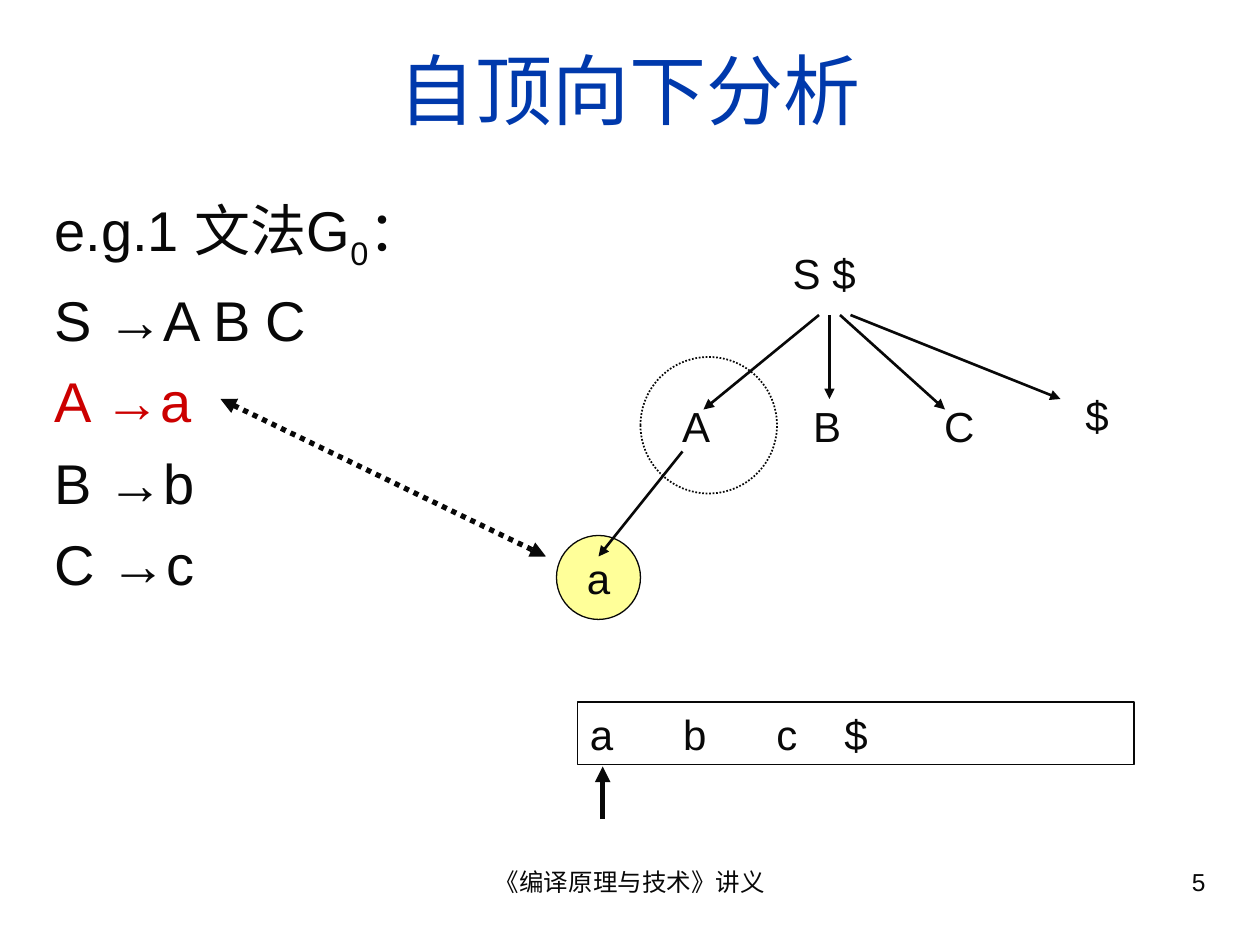
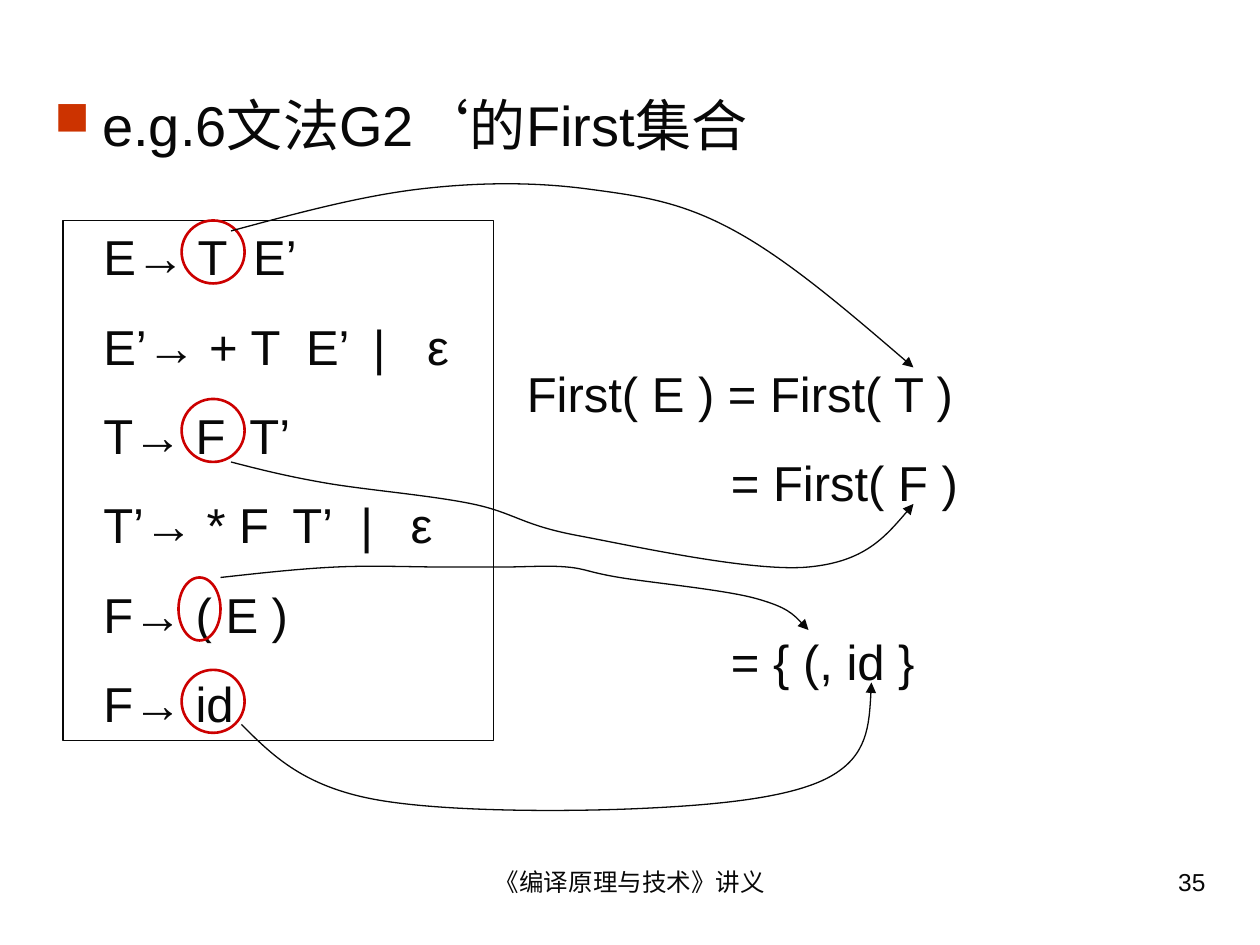
from dataclasses import dataclass
from typing import Optional

from lxml import etree
from pptx import Presentation
from pptx import util as u
from pptx.dml.color import RGBColor
from pptx.enum import dml, shapes, text
from pptx.oxml.ns import qn

# The slide is a grid of 120 columns by 90 rows, twelve cells to the inch.
COLUMNS, ROWS = 120, 90
CELL = u.Inches(1) // 12

FONT = "Arial"
INK, BLUE, RED = "080808", "0039AC", "CC0000"
BULLET_COLOR, YELLOW = "CC3300", "FFFF99"
FOOTER = "《编译原理与技术》讲义"
LINE_HEIGHT = 1.2
LEFT, CENTER, RIGHT = text.PP_ALIGN.LEFT, text.PP_ALIGN.CENTER, text.PP_ALIGN.RIGHT
TOP, MIDDLE = text.MSO_ANCHOR.TOP, text.MSO_ANCHOR.MIDDLE
DOTTED = dml.MSO_LINE.ROUND_DOT


@dataclass(frozen=True)
class Box:
    column: float
    row: float
    width: float
    height: float

    def emu(self) -> list:
        return [cells(v) for v in (self.column, self.row, self.width, self.height)]


@dataclass(frozen=True)
class Line:
    """One paragraph; parts between underscores are subscripts, tabs are in inches."""
    text: str
    color: str = INK
    before: float = 0
    tabs: tuple = ()
    indent: float = 0
    bullet: bool = False
    exact: bool = True


@dataclass(frozen=True)
class Style:
    size: float
    align: text.PP_ALIGN = LEFT
    anchor: text.MSO_ANCHOR = TOP
    wrap: bool = True
    inset: float = 0.1


@dataclass(frozen=True)
class Node:
    box: Box
    label: str = ""
    line: Optional[str] = None
    width: float = 0.75
    fill: Optional[str] = None
    dash: Optional[dml.MSO_LINE] = None


@dataclass(frozen=True)
class Arrow:
    start: tuple
    end: tuple
    width: float = 1.5
    dash: Optional[dml.MSO_LINE] = None
    both_ends: bool = False


FOOTER_STYLE = Style(14, CENTER)
NODE_STYLE = Style(24, CENTER, MIDDLE, wrap=False)


def cells(count: float) -> int:
    return round(count * CELL)


def rgb(color: str) -> RGBColor:
    return RGBColor.from_string(color)


def child(parent, tag: str, **attributes):
    element = etree.SubElement(parent, qn(tag))
    for name, value in attributes.items():
        element.set(name, str(value))
    return element


def write_line(paragraph, line: Line, style: Style) -> None:
    properties = paragraph._p.get_or_add_pPr()
    if line.indent:
        properties.set("marL", str(u.Inches(line.indent)))
        properties.set("indent", str(-u.Inches(line.indent) if line.bullet else 0))
    if line.bullet:
        child(child(properties, "a:buClr"), "a:srgbClr", val=BULLET_COLOR)
        child(properties, "a:buSzPct", val=85000)
        child(properties, "a:buChar", char="■")
    if line.tabs:
        tab_list = child(properties, "a:tabLst")
        for position in line.tabs:
            child(tab_list, "a:tab", pos=u.Inches(position), algn="l")
    paragraph.alignment = style.align
    paragraph.space_before = u.Pt(line.before)
    if line.exact:
        paragraph.line_spacing = u.Pt(style.size * LINE_HEIGHT)
    for index, part in enumerate(line.text.split("_")):
        run = paragraph.add_run()
        run.text = part
        run.font.name, run.font.size = FONT, u.Pt(style.size)
        run.font.color.rgb = rgb(line.color)
        if index % 2:
            run._r.get_or_add_rPr().set("baseline", "-25000")


def write(shape, lines: list, style: Style) -> None:
    frame = shape.text_frame
    frame.word_wrap, frame.vertical_anchor = style.wrap, style.anchor
    frame.margin_left, frame.margin_right = u.Inches(style.inset), u.Inches(0.1)
    frame.margin_top = frame.margin_bottom = u.Inches(0.05)
    for index, line in enumerate(lines):
        paragraph = frame.add_paragraph() if index else frame.paragraphs[0]
        write_line(paragraph, line, style)


def add_text(slide, box: Box, lines: list, style: Style) -> None:
    write(slide.shapes.add_textbox(*box.emu()), lines, style)


def add_node(slide, node: Node, kind=shapes.MSO_SHAPE.OVAL):
    shape = slide.shapes.add_shape(kind, *node.box.emu())
    shape.shadow.inherit = False
    if node.fill:
        shape.fill.solid()
        shape.fill.fore_color.rgb = rgb(node.fill)
    else:
        shape.fill.background()
    if node.line:
        draw_line(shape.line, node.line, node.width, node.dash)
    else:
        shape.line.fill.background()
    if node.label:
        write(shape, [Line(node.label, exact=False)], NODE_STYLE)
    return shape


def add_panel(slide, box: Box, lines: list, style: Style) -> None:
    panel = add_node(slide, Node(box, line=INK), shapes.MSO_SHAPE.RECTANGLE)
    write(panel, lines, style)


def draw_line(line, color: str, width: float, dash=None) -> None:
    line.color.rgb = rgb(color)
    line.width = u.Pt(width)
    if dash:
        line.dash_style = dash


def add_heads(shape, both_ends: bool = False) -> None:
    line = shape.line._get_or_add_ln()
    for tag in ("a:headEnd", "a:tailEnd") if both_ends else ("a:tailEnd",):
        child(line, tag, type="triangle")


def add_arrow(slide, arrow: Arrow) -> None:
    ends = [cells(value) for value in arrow.start + arrow.end]
    connector = slide.shapes.add_connector(shapes.MSO_CONNECTOR.STRAIGHT, *ends)
    draw_line(connector.line, INK, arrow.width, arrow.dash)
    add_heads(connector, arrow.both_ends)
    child(connector._element.spPr, "a:effectLst")


def midpoint(first: tuple, second: tuple) -> tuple:
    return tuple((a + b) / 2 for a, b in zip(first, second))


def smooth_points(knots: list) -> list:
    """Two control points and an end point for each span between knots."""
    arms = [tuple((b - a) / 6 for a, b in zip(before, after))
            for before, after in zip(knots, knots[2:])]
    points = []
    last = len(knots) - 2
    for index, (start, end) in enumerate(zip(knots, knots[1:])):
        leaving = index and tuple(k + a for k, a in zip(start, arms[index - 1]))
        arriving = index < last and tuple(k - a for k, a in zip(end, arms[index]))
        leaving = leaving or midpoint(start, arriving)
        arriving = arriving or midpoint(leaving, end)
        points += [leaving, arriving, end]
    return points


def add_curve(slide, knots: list) -> None:
    builder = slide.shapes.build_freeform(*knots[0], scale=CELL * 1.0)
    scaled = [tuple(cells(value) for value in point) for point in smooth_points(knots)]
    builder = slide.shapes.build_freeform(*(cells(v) for v in knots[0]))
    builder.add_line_segments(scaled, close=False)
    curve = builder.convert_to_shape()
    outline = curve._element.find(".//" + qn("a:path"))
    segments = outline.findall(qn("a:lnTo"))
    for index in range(0, len(segments), 3):
        bezier = child(outline, "a:cubicBezTo")
        for segment in segments[index:index + 3]:
            bezier.append(segment[0])
            outline.remove(segment)
    curve.shadow.inherit = False
    curve.fill.background()
    draw_line(curve.line, INK, 0.75)
    add_heads(curve)


def add_slide(presentation, number: int):
    slide = presentation.slides.add_slide(presentation.slide_layouts[6])
    add_text(slide, Box(41, 82, 38, 6.25), [Line(FOOTER, exact=False)], FOOTER_STYLE)
    add_text(slide, Box(86, 82, 30, 6.25), [Line(str(number), exact=False)],
             Style(14, RIGHT))
    return slide


def build_top_down(presentation) -> None:
    slide = add_slide(presentation, 5)
    add_text(slide, Box(4, 3, 112, 11), [Line("自顶向下分析", BLUE, exact=False)],
             Style(44, CENTER, MIDDLE))
    rules = [("S →A B C", INK), ("A →a", RED), ("B →b", INK), ("C →c", INK)]
    add_text(slide, Box(4, 18, 45, 39),
             [Line("e.g.1 文法G_0_：", exact=False)]
             + [Line(rule, color, before=8) for rule, color in rules], Style(32))
    add_panel(slide, Box(55, 66.85, 53, 6),
              [Line("a\tb\tc\t$", tabs=(0.74, 1.48, 2.02))], Style(24))
    add_text(slide, Box(61, 36, 36, 9),
             [Line("A\tB\tC", tabs=(1.04, 2.08), exact=False)],
             Style(24, LEFT, MIDDLE, inset=0.33))
    for node in (
        Node(Box(61, 34, 13, 13), line=INK, width=1, dash=DOTTED),
        Node(Box(74, 22, 9, 8), "S $"),
        Node(Box(101, 36, 7, 7), "$"),
        Node(Box(53, 51, 8, 8), "a", line=INK, fill=YELLOW),
    ):
        add_node(slide, node)
    for arrow in (
        Arrow((78, 30), (67, 39)),
        Arrow((79, 30), (79, 38)),
        Arrow((80, 30), (90, 39)),
        Arrow((81, 30), (101, 38)),
        Arrow((65, 43), (57, 53)),
        Arrow((21, 38), (52, 53), 3, DOTTED, both_ends=True),
        Arrow((57.4, 78), (57.4, 73), 3),
    ):
        add_arrow(slide, arrow)


def build_first_sets(presentation) -> None:
    slide = add_slide(presentation, 35)
    add_text(slide, Box(4, 8, 112, 8),
             [Line("e.g.6文法G2‘的First集合", indent=0.38, bullet=True, exact=False)],
             Style(32))
    productions = [
        ("E→ T\tE’", (1.19,)),
        ("E’→ + T\tE’\t|\tε", (1.61, 2.14, 2.57)),
        ("T→ F\tT’", (1.16,)),
        ("T’→ * F\tT’\t|\tε", (1.5, 2.04, 2.44)),
        ("F→ ( E )", ()),
        ("F→ id", ()),
    ]
    gap = 17.5
    add_panel(slide, Box(6, 21, 41, 49.5),
              [Line(rule, before=gap if index else 0, tabs=tabs)
               for index, (rule, tabs) in enumerate(productions)],
              Style(28, inset=0.32))
    add_text(slide, Box(49, 34, 66, 32.4), [
        Line("First( E ) = First( T )"),
        Line("= First( F )", before=gap, indent=1.62),
        Line("= { (, id }", before=2 * gap + 28 * LINE_HEIGHT, indent=1.62),
    ], Style(28))
    for ring in (Box(17.3, 21, 6, 6), Box(17.3, 38, 6, 6),
                 Box(17, 55, 4, 6), Box(17.3, 63.8, 6, 6)):
        add_node(slide, Node(ring, line=RED, width=1.5))
    for knots in (
        [(22, 22), (40, 18), (56, 18), (70, 22), (87, 35)],
        [(22, 44), (31, 46), (45, 48), (55, 51), (77, 54), (87, 48)],
        [(21, 55), (32, 54), (42, 54), (48, 54), (54, 54), (59, 55), (72, 57), (77, 60)],
        [(23, 69), (35, 76), (61, 77), (79, 74), (83, 65)],
    ):
        add_curve(slide, knots)


def main() -> None:
    presentation = Presentation()
    presentation.slide_width, presentation.slide_height = COLUMNS * CELL, ROWS * CELL
    build_top_down(presentation)
    build_first_sets(presentation)
    presentation.save("out.pptx")


if __name__ == "__main__":
    main()
